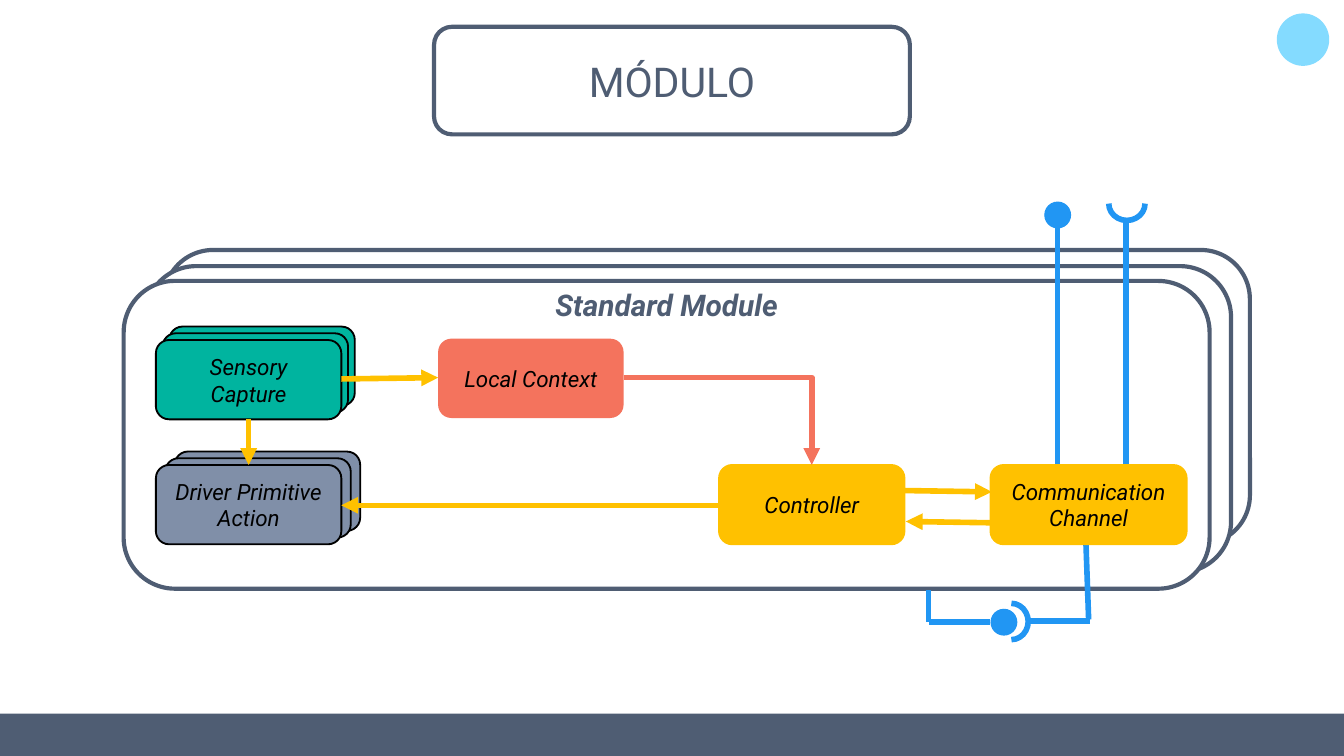
from lxml.etree import SubElement
from pptx import Presentation
from pptx.dml.color import RGBColor
from pptx.enum.shapes import MSO_CONNECTOR, MSO_SHAPE
from pptx.enum.text import MSO_ANCHOR, MSO_AUTO_SIZE, PP_ALIGN
from pptx.oxml.ns import qn
from pptx.util import Inches, Pt

WHITE = RGBColor(0xFF, 0xFF, 0xFF)
BLACK = RGBColor(0x00, 0x00, 0x00)
SLATE = RGBColor(0x4F, 0x5D, 0x73)
GREY = RGBColor(0x80, 0x8F, 0xA8)
YELLOW = RGBColor(0xFF, 0xC1, 0x00)
CORAL = RGBColor(0xF4, 0x73, 0x5D)
GREEN = RGBColor(0x00, 0xB4, 0x9F)
BLUE = RGBColor(0x21, 0x96, 0xF3)
SKY = RGBColor(0x84, 0xDB, 0xFF)

FONT = "Roboto"
CARD_SIZE = (1.38, 0.59)
SOCKET_SIZE = (0.27, 0.25)
BALL_SIZE = (0.2, 0.2)
TITLE_PLACE = (3.23, 0.2, 3.54, 0.8)


def write(box, text, size, color, bold=False, italic=False):
    frame = box.text_frame
    frame.word_wrap = True
    frame.vertical_anchor = MSO_ANCHOR.MIDDLE
    para = frame.paragraphs[0]
    para.alignment = PP_ALIGN.CENTER
    span = para.add_run()
    span.text = text
    span.font.name = FONT
    span.font.size = Pt(size)
    span.font.color.rgb = color
    span.font.bold = bold
    span.font.italic = italic


def outline(shape, color, width):
    shape.line.color.rgb = color
    shape.line.width = Pt(width)


def add_shape(page, kind, place, fill=None, line=None, width=1):
    shape = page.shapes.add_shape(kind, *map(Inches, place))
    shape.shadow.inherit = False
    if fill is None:
        shape.fill.background()
    else:
        shape.fill.solid()
        shape.fill.fore_color.rgb = fill
    if line is None:
        shape.line.fill.background()
    else:
        outline(shape, line, width)
    return shape


def add_card(page, text, place, fill, line=None):
    card = add_shape(page, MSO_SHAPE.ROUNDED_RECTANGLE, place, fill, line)
    write(card, text, 12, BLACK, italic=True)


def add_stack(page, text, left, top, step, fill):
    for depth in (2, 1):
        place = (left + depth * step[0], top - depth * step[1], *CARD_SIZE)
        add_shape(page, MSO_SHAPE.ROUNDED_RECTANGLE, place, fill, BLACK)
    add_card(page, text, (left, top, *CARD_SIZE), fill, BLACK)


def add_line(page, start, end, color, arrow=False, bent=False):
    kind = MSO_CONNECTOR.ELBOW if bent else MSO_CONNECTOR.STRAIGHT
    line = page.shapes.add_connector(kind, *map(Inches, (*start, *end)))
    outline(line, color, 3)
    properties = line.element.spPr
    if bent:
        properties.find(qn("a:prstGeom")).set("prst", "bentConnector2")
    if arrow:
        SubElement(properties.find(qn("a:ln")), qn("a:tailEnd"), type="triangle")
    SubElement(properties, qn("a:effectLst"))


def add_socket(page, left, top, rotation=0):
    socket = add_shape(page, MSO_SHAPE.ARC, (left, top, *SOCKET_SIZE), line=BLUE, width=3)
    socket.adjustments[0] = 108
    socket.adjustments[1] = 0
    socket.rotation = rotation
    socket.element.spPr.find(qn("a:xfrm")).set("flipV", "1")


def add_ball(page, left, top):
    add_shape(page, MSO_SHAPE.OVAL, (left, top, *BALL_SIZE), BLUE)


def add_title(page, text):
    add_shape(page, MSO_SHAPE.ROUNDED_RECTANGLE, TITLE_PLACE, line=SLATE, width=2.25)
    title = page.shapes.title
    title.left, title.top, title.width, title.height = map(Inches, TITLE_PLACE)
    title.text_frame.auto_size = MSO_AUTO_SIZE.NONE
    write(title, text, 22, SLATE)


def add_modules(page):
    for left, top, height in ((1.22, 1.86, 2.19), (1.08, 1.98, 2.28), (0.92, 2.09, 2.29)):
        place = (left, top, 8.08, height)
        add_shape(page, MSO_SHAPE.ROUNDED_RECTANGLE, place, WHITE, SLATE, 2.25)
    label = page.shapes.add_textbox(*map(Inches, (0.92, 2.08, 8.08, 0.37)))
    write(label, "Standard Module", 16, SLATE, bold=True, italic=True)


def add_interfaces(page):
    add_ball(page, 7.77, 1.5)
    add_socket(page, 8.25, 1.39)
    add_socket(page, 7.39, 4.5, 270)
    add_ball(page, 7.37, 4.53)
    for start, end in (
        ((7.87, 1.7), (7.87, 3.46)),
        ((8.38, 3.46), (8.38, 1.63)),
        ((8.11, 4.62), (7.64, 4.62)),
        ((8.08, 4.04), (8.1, 4.61)),
        ((7.37, 4.63), (6.91, 4.63)),
        ((6.91, 4.39), (6.91, 4.63)),
    ):
        add_line(page, start, end, BLUE)


def main():
    deck = Presentation()
    deck.slide_width = Inches(10)
    deck.slide_height = deck.slide_width * 9 // 16
    page = deck.slides.add_slide(deck.slide_layouts[5])
    add_title(page, "MÓDULO")
    add_shape(page, MSO_SHAPE.OVAL, (9.5, 0.1, 0.39, 0.39), SKY)
    add_shape(page, MSO_SHAPE.RECTANGLE, (0, 5.31, 10, 0.32), SLATE)

    add_modules(page)
    add_interfaces(page)
    add_card(page, "Controller", (5.35, 3.46, *CARD_SIZE), YELLOW, YELLOW)
    add_card(page, "Local Context", (3.26, 2.52, *CARD_SIZE), CORAL)
    add_card(page, "Communication Channel", (7.37, 3.46, 1.46, 0.59), YELLOW, YELLOW)
    add_stack(page, "Driver Primitive Action", 1.16, 3.46, (0.07, 0.05), GREY)
    add_stack(page, "Sensory Capture", 1.16, 2.53, (0.05, 0.05), GREEN)

    add_line(page, (4.64, 2.81), (6.04, 3.46), CORAL, arrow=True, bent=True)
    for start, end in (
        ((6.73, 3.65), (7.38, 3.66)),
        ((7.37, 3.89), (6.74, 3.88)),
        ((1.85, 3.12), (1.85, 3.46)),
        ((5.35, 3.76), (2.54, 3.76)),
        ((2.54, 2.82), (3.26, 2.81)),
    ):
        add_line(page, start, end, YELLOW, arrow=True)
    deck.save("out.pptx")


if __name__ == "__main__":
    main()
